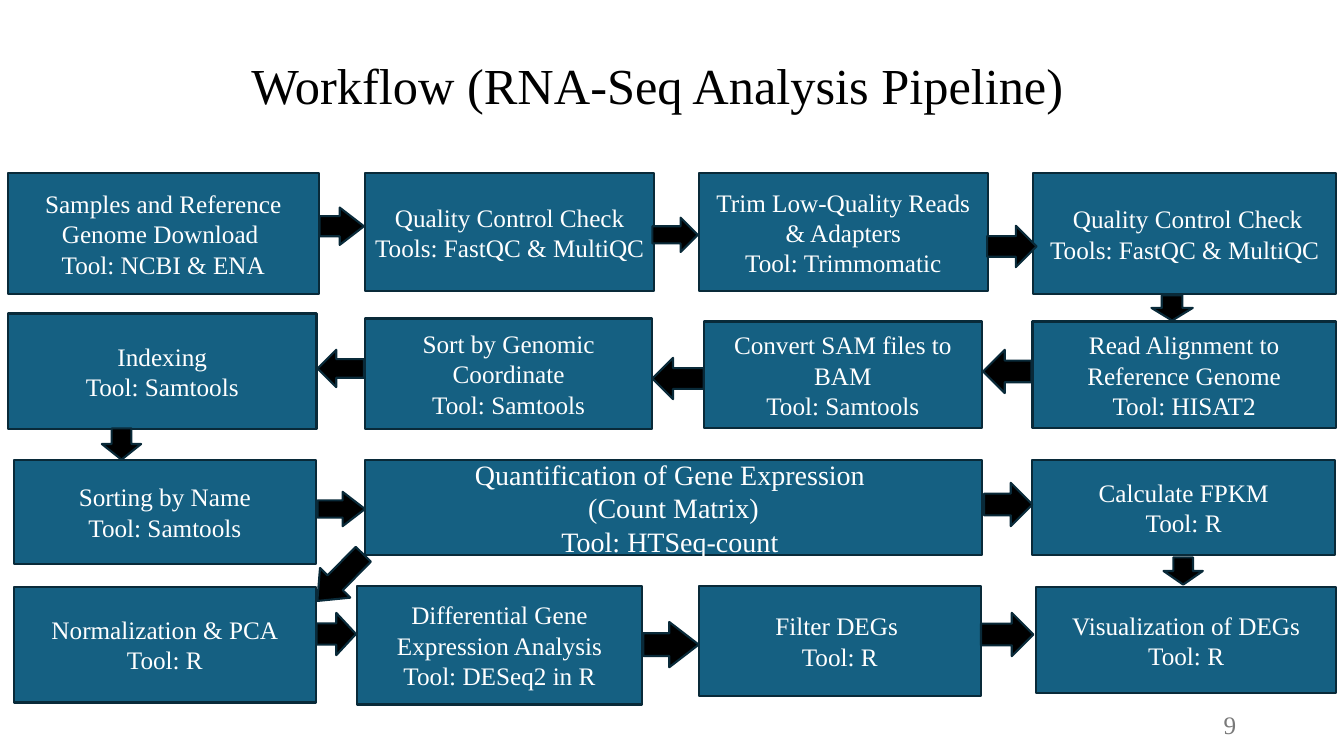
from pptx import Presentation
from pptx.dml.color import RGBColor
from pptx.enum.shapes import MSO_SHAPE
from pptx.enum.text import MSO_ANCHOR, PP_ALIGN
from pptx.util import Inches, Pt

RECTANGLE, ARROW = MSO_SHAPE.RECTANGLE, MSO_SHAPE.RIGHT_ARROW
CENTER, RIGHT = PP_ALIGN.CENTER, PP_ALIGN.RIGHT
MIDDLE = MSO_ANCHOR.MIDDLE
TITLE_ONLY = 5

TITLE = "Workflow (RNA-Seq Analysis Pipeline) "
PAGE_NUMBER = "9"

# Steps in pipeline order: left, top, width, height, lines
STEPS = [
    (0.08, 1.72, 3.08, 1.20, ["Samples and Reference Genome Download ", "Tool: NCBI & ENA"]),
    (3.62, 1.72, 2.87, 1.17, ["Quality Control Check", "Tools: FastQC & MultiQC"]),
    (6.93, 1.72, 2.87, 1.17, ["Trim Low-Quality Reads & Adapters", "Tool: Trimmomatic"]),
    (10.25, 1.72, 3.00, 1.20, [" Quality Control Check", "Tools: FastQC & MultiQC"]),
    (10.24, 3.19, 3.01, 1.06, ["Read Alignment to Reference Genome", "Tool: HISAT2"]),
    (6.98, 3.19, 2.76, 1.06, ["Convert SAM files to BAM", "Tool: Samtools"]),
    (3.62, 3.16, 2.85, 1.10, ["Sort by Genomic Coordinate", "Tool: Samtools"]),
    (0.08, 3.11, 3.06, 1.15, ["Indexing", "Tool: Samtools"]),
    (0.14, 4.56, 2.99, 1.04, ["Sorting by Name", "Tool: Samtools"]),
    (3.62, 4.56, 6.12, 0.95,
     ["Quantification of Gene Expression ", "(Count Matrix)", "Tool: HTSeq-count "]),
    (10.24, 4.56, 3.00, 0.95, ["Calculate FPKM", "Tool: R"]),
    (0.14, 5.82, 2.99, 1.15, ["Normalization & PCA", "Tool: R"]),
    (3.54, 5.81, 2.83, 1.18, ["Differential Gene Expression Analysis", "Tool: DESeq2 in R"]),
    (6.93, 5.81, 2.80, 1.10, ["Filter DEGs ", "Tool: R"]),
    (10.28, 5.82, 2.97, 1.06, ["Visualization of DEGs", "Tool: R"]),
]

# Arrows by direction: left, top, length, thickness, shaft share, head share
EAST, SOUTH, SOUTHWEST, WEST = 0, 90, 134.5, 180
ARROWS = {
    EAST: [
        (3.17, 2.06, 0.44, 0.37, 0.54, 0.65),
        (6.47, 2.16, 0.45, 0.34, 0.5, 0.5),
        (9.79, 2.24, 0.49, 0.41, 0.5, 0.5),
        (3.15, 4.88, 0.47, 0.34, 0.5, 0.65),
        (9.76, 4.79, 0.48, 0.43, 0.5, 0.5),
        (3.14, 6.08, 0.39, 0.42, 0.5, 0.5),
        (6.38, 6.17, 0.55, 0.45, 0.5, 0.65),
        (9.73, 6.08, 0.52, 0.43, 0.5, 0.5),
    ],
    SOUTH: [
        (11.50, 2.85, 0.25, 0.41, 0.5, 0.5),
        (1.05, 4.21, 0.31, 0.39, 0.5, 0.5),
        (11.60, 5.47, 0.27, 0.39, 0.5, 0.5),
    ],
    SOUTHWEST: [(3.05, 5.52, 0.65, 0.42, 0.5, 0.6)],
    WEST: [
        (3.15, 3.47, 0.46, 0.37, 0.5, 0.5),
        (6.47, 3.55, 0.51, 0.41, 0.5, 0.5),
        (9.75, 3.47, 0.48, 0.43, 0.5, 0.5),
    ],
}


class Theme:
    font = "Times New Roman"
    box = RGBColor(0x15, 0x60, 0x82)
    outline = RGBColor(0x09, 0x2A, 0x39)
    black = RGBColor(0, 0, 0)
    white = RGBColor(255, 255, 255)
    gray = RGBColor(0x79, 0x79, 0x79)
    outline_width = Pt(1.5)
    title_size, wide_size, body_size = Pt(36), Pt(20), Pt(18)


def write(frame, lines, size, color, align=CENTER):
    frame.word_wrap = True
    frame.vertical_anchor = MIDDLE
    frame.text = "\n".join(lines)
    for para in frame.paragraphs:
        para.alignment = align
        para.font.name = Theme.font
        para.font.size = size
        para.font.color.rgb = color


def add_block(page, kind, frame, fill):
    block = page.shapes.add_shape(kind, *map(Inches, frame))
    block.shadow.inherit = False
    block.fill.solid()
    block.fill.fore_color.rgb = fill
    block.line.color.rgb = Theme.outline
    block.line.width = Theme.outline_width
    return block


def main():
    deck = Presentation()
    deck.slide_width, deck.slide_height = Inches(13.33), Inches(7.5)
    page = deck.slides.add_slide(deck.slide_layouts[TITLE_ONLY])

    # Title
    title = page.shapes.title
    title.left, title.top = Inches(0.86), Inches(0.25)
    title.width, title.height = Inches(11.45), Inches(1.24)
    write(title.text_frame, [TITLE], Theme.title_size, Theme.black)
    title.text_frame.paragraphs[0].line_spacing = 0.9

    # Page number
    number = page.shapes.add_textbox(Inches(10.93), Inches(6.99), Inches(1.43), Inches(0.4))
    write(number.text_frame, [PAGE_NUMBER], Theme.body_size, Theme.gray, RIGHT)

    # Step boxes
    for *frame, lines in STEPS:
        box = add_block(page, RECTANGLE, frame, Theme.box)
        size = Theme.wide_size if len(lines) > 2 else Theme.body_size
        write(box.text_frame, lines, size, Theme.white)

    # Arrows between steps
    for angle, arrows in ARROWS.items():
        for *frame, shaft, head in arrows:
            arrow = add_block(page, ARROW, frame, Theme.black)
            arrow.rotation = angle
            arrow.adjustments[0], arrow.adjustments[1] = shaft, head

    deck.save("out.pptx")


if __name__ == "__main__":
    main()
